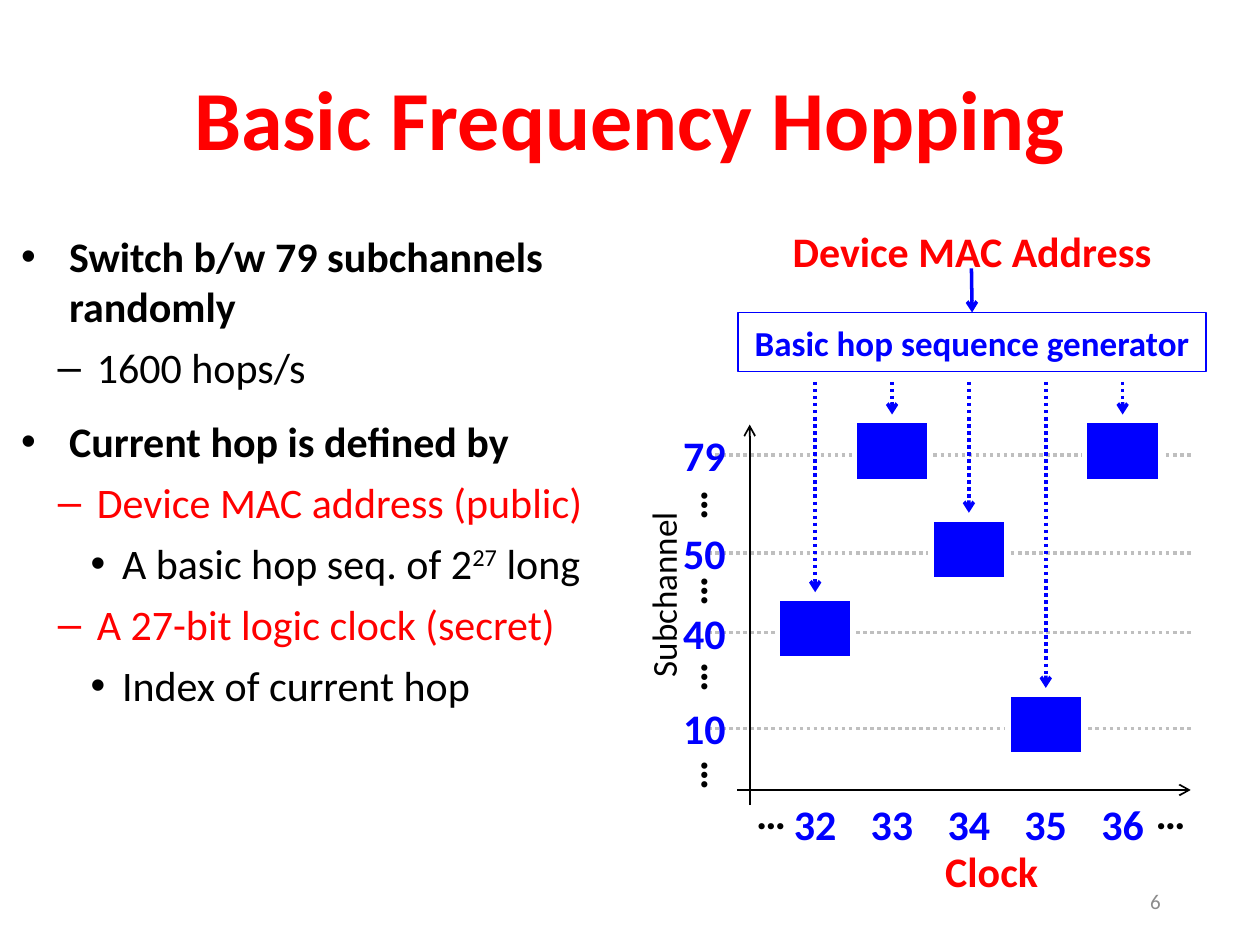
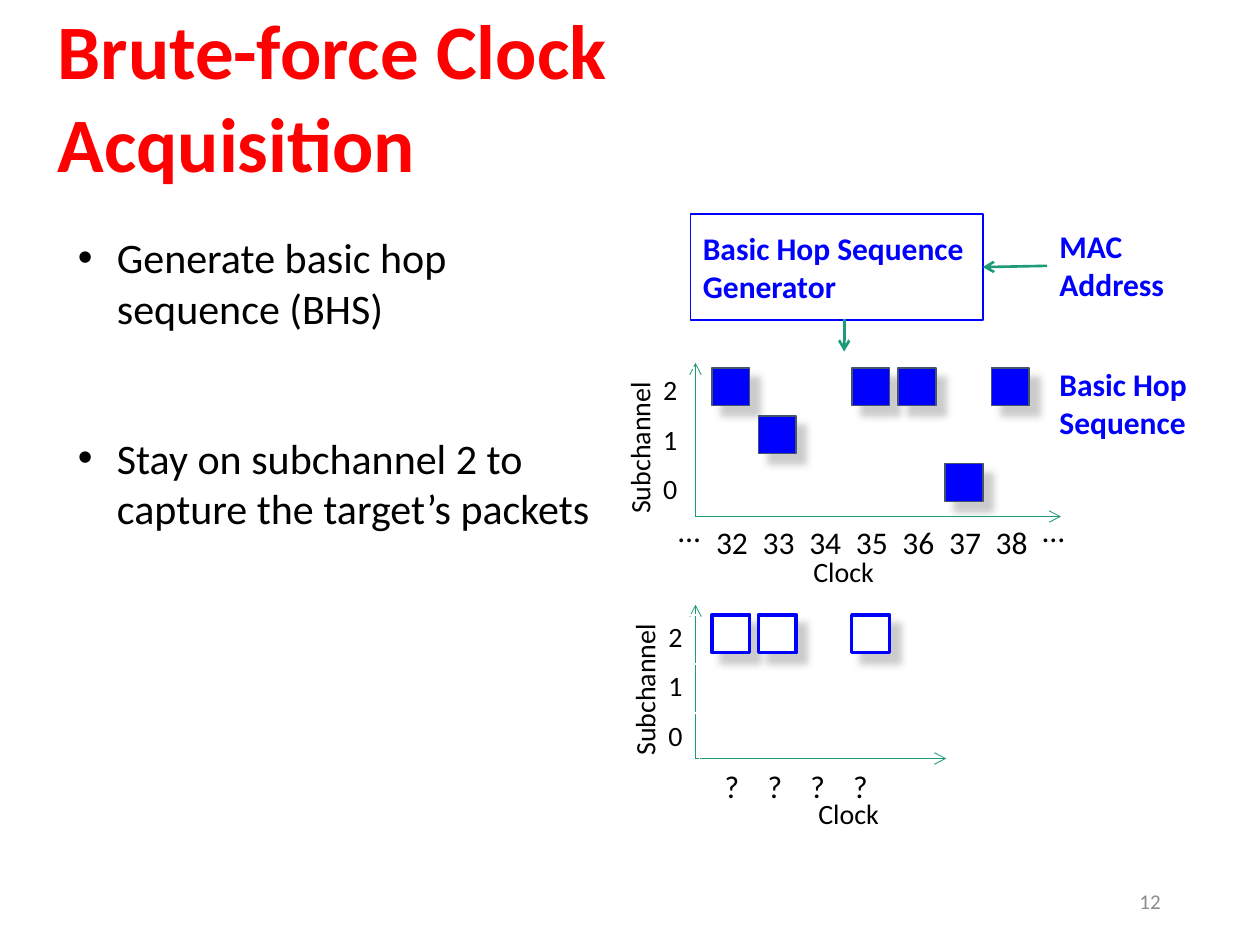
from lxml import etree
from pptx import Presentation
from pptx.dml.color import RGBColor
from pptx.enum.dml import MSO_LINE
from pptx.enum.shapes import MSO_CONNECTOR, MSO_SHAPE
from pptx.enum.text import MSO_ANCHOR, PP_ALIGN
from pptx.oxml.ns import qn
from pptx.util import Inches, Pt

LEFT, CENTER, RIGHT = PP_ALIGN.LEFT, PP_ALIGN.CENTER, PP_ALIGN.RIGHT
TOP, MIDDLE = MSO_ANCHOR.TOP, MSO_ANCHOR.MIDDLE
STRAIGHT, RECT, DOTTED = MSO_CONNECTOR.STRAIGHT, MSO_SHAPE.RECTANGLE, MSO_LINE.ROUND_DOT
FONT = "Calibri"
COLORS = {
    "red": "FF0000", "blue": "0000FF", "black": "000000", "white": "FFFFFF",
    "green": "1D9A78", "slate": "44546A", "grid": "BFBFBF", "number": "8C8C8C",
    "shadow": "808080",
}
BULLETS = [("•", 0.38, -0.38), ("–", 0.6, -0.31), ("•", 0.8, -0.25)]
PLAIN_BULLETS = [("•", 0.31, -0.31)]


def rgb(name):
    return RGBColor.from_string(COLORS[name])


def add_run(p, text, size, color="black", bold=False, raised=False):
    r = p.add_run()
    r.text = text
    r.font.name = FONT
    r.font.size = Pt(size)
    r.font.bold = bold
    r.font.color.rgb = rgb(color)
    if raised:
        r.font._element.set("baseline", "30000")


def add_text(s, box, text, size, color="black", bold=False, align=CENTER,
             anchor=TOP, margin=0, rotation=0, spacing=None):
    sp = s.shapes.add_textbox(*map(Inches, box))
    sp.rotation = rotation
    tf = sp.text_frame
    tf.word_wrap = True
    tf.vertical_anchor = anchor
    tf.margin_left = tf.margin_right = Inches(margin)
    p = tf.paragraphs[0]
    p.alignment = align
    p.line_spacing = spacing
    add_run(p, text, size, color, bold)


def add_title(s, box, text, size, align, spacing=None):
    add_text(s, box, text, size, "red", True, align, MIDDLE, 0.1, spacing=spacing)


def add_slide_number(s, number):
    add_text(s, (7.06, 6.95, 2.25, 0.4), str(number), 12, "number",
             align=RIGHT, anchor=MIDDLE, margin=0.1)


def add_bullets(s, box, items, bullets, after=0):
    tf = s.shapes.add_textbox(*map(Inches, box)).text_frame
    tf.word_wrap = True
    for i, (level, runs) in enumerate(items):
        p = tf.paragraphs[0] if i == 0 else tf.add_paragraph()
        char, margin, indent = bullets[level]
        pPr = p._p.get_or_add_pPr()
        pPr.set("marL", str(Inches(margin)))
        pPr.set("indent", str(Inches(indent)))
        etree.SubElement(pPr, qn("a:buFont"), typeface="Arial")
        etree.SubElement(pPr, qn("a:buChar"), char=char)
        p.level = level
        p.space_after = Pt(after)
        for text, style in runs:
            add_run(p, text, 24, **style)


def add_line(s, start, end, color, width, dash=None, arrow=True, join=None):
    cx = s.shapes.add_connector(STRAIGHT, *map(Inches, start + end))
    cx.line.color.rgb = rgb(color)
    cx.line.width = Pt(width)
    if dash:
        cx.line.dash_style = dash
    if arrow:
        etree.SubElement(cx.line._get_or_add_ln(), qn("a:tailEnd"), type="arrow")
    etree.SubElement(cx._element.spPr, qn("a:effectLst"))
    if join:
        cx.end_connect(*join)


def add_rect(s, box, fill, line, width):
    sp = s.shapes.add_shape(RECT, *map(Inches, box))
    sp.shadow.inherit = False
    if fill:
        sp.fill.solid()
        sp.fill.fore_color.rgb = rgb(fill)
    else:
        sp.fill.background()
    sp.line.color.rgb = rgb(line)
    sp.line.width = Pt(width)
    return sp


def add_generator(s, box, text, size, align):
    sp = add_rect(s, box, None, "blue", 1)
    tf = sp.text_frame
    tf.word_wrap = True
    tf.vertical_anchor = MIDDLE
    p = tf.paragraphs[0]
    p.alignment = align
    add_run(p, text, size, "blue", True)
    return sp


def add_shadow(sp):
    effects = sp._element.spPr.find(qn("a:effectLst"))
    outer = etree.SubElement(effects, qn("a:outerShdw"), blurRad=str(Pt(4)),
                             dist=str(Pt(8)), dir="2700000", algn="ctr", rotWithShape="0")
    color = etree.SubElement(outer, qn("a:srgbClr"), val=COLORS["shadow"])
    etree.SubElement(color, qn("a:alpha"), val="40000")


def add_channel_table(s, left, top):
    height = 0.39
    frame = s.shapes.add_table(3, 1, *map(Inches, (left, top, 0.38, 3 * height)))
    table = frame.table
    table.first_row = table.horz_banding = False
    table.columns[0].width = Inches(0.38)
    for row, channel in enumerate("210"):
        table.rows[row].height = Inches(height)
        cell = table.cell(row, 0)
        cell.fill.background()
        p = cell.text_frame.paragraphs[0]
        p.alignment = CENTER
        add_run(p, channel, 16)


def add_hop_chart(s, top, right, square_top, shift, hops, square_style):
    axis, bottom = 5.52, top + 1.22
    for clock, channel in hops:
        y = square_top + 0.38 * (2 - channel)
        add_shadow(add_rect(s, (5.65 + 0.37 * clock, y, 0.3, 0.3), *square_style))
    add_line(s, (axis, bottom), (axis, top), "green", 0.5)
    add_line(s, (axis, bottom), (right, bottom), "green", 0.5)
    add_channel_table(s, 5.13 + shift, square_top)
    add_text(s, (4.43 + shift, top + 0.49, 1.29, 0.37), "Subchannel", 16, rotation=270)
    add_text(s, (5.72 + shift, top + 1.47, 1.95, 0.37), "Clock", 16)


def add_clock_labels(s, labels, top, pitch):
    for i, label in enumerate(labels):
        add_text(s, (5.63 + pitch * i, top, 0.36, 0.4), label, 18)


def build_frequency_hopping(s):
    add_title(s, (0.5, 0.39, 9, 1.17), "Basic Frequency Hopping", 48, CENTER, 0.9)
    channels = {79: 3.61, 50: 4.39, 40: 5.02, 10: 5.78}
    hops = {32: 40, 33: 79, 34: 50, 35: 10, 36: 79}

    for channel, y in channels.items():
        add_line(s, (5.62, y), (9.47, y), "grid", 2, DOTTED, arrow=False)
        add_text(s, (5.32, y - 0.25, 0.54, 0.5), str(channel), 24, "blue", True)
    for top in (3.76, 4.44, 5.13, 5.9):
        add_text(s, (5.49, top, 0.42, 0.5), "…", 24, bold=True, rotation=90)

    for i, (clock, channel) in enumerate(hops.items()):
        left, top = 6.17 + 0.61 * i, channels[channel] - 0.27
        add_line(s, (left + 0.3, 3.03), (left + 0.3, top - 0.05), "blue", 2, DOTTED)
        add_rect(s, (left, top, 0.6, 0.48), "blue", "white", 3)
        add_text(s, (left, 6.29, 0.6, 0.5), str(clock), 24, "blue", True)
    for left in (5.77, 8.94):
        add_text(s, (left, 6.2, 0.7, 0.5), "…", 24, bold=True)

    add_line(s, (5.85, 6.27), (9.45, 6.27), "black", 1)
    add_line(s, (5.95, 6.39), (5.95, 3.37), "black", 1)
    add_text(s, (3.86, 4.5, 2.81, 0.44), "Subchannel", 20, rotation=270)
    add_text(s, (6.06, 6.66, 3.62, 0.5), "Clock", 24, "red", True)

    generator = add_generator(s, (5.86, 2.48, 3.71, 0.47),
                              "Basic hop sequence generator", 20, CENTER)
    add_text(s, (5.85, 1.74, 3.73, 0.5), "Device MAC Address", 24, "red", True)
    add_line(s, (7.71, 2.13), (7.71, 2.48), "blue", 2, join=(generator, 0))

    bold, red = {"bold": True}, {"color": "red"}
    add_bullets(s, (0.07, 1.78, 5.0, 1.4), [
        (0, [("Switch b/w 79 subchannels randomly", bold)]),
        (1, [("1600 hops/s", {})]),
    ], BULLETS, 6)
    add_bullets(s, (0.07, 3.25, 5.01, 2.96), [
        (0, [("Current hop is defined by", bold)]),
        (1, [("Device MAC address (public)", red)]),
        (2, [("A basic hop seq. of 2", {}), ("27", {"raised": True}), (" long", {})]),
        (1, [("A 27-bit logic clock (secret)", red)]),
        (2, [("Index of current hop", {})]),
    ], BULLETS, 6)
    add_slide_number(s, 6)


def build_clock_acquisition(s):
    add_title(s, (0.36, 0.23, 7.48, 1.05), "Brute-force Clock Acquisition", 44, LEFT)
    for top, text in ((1.79, "Generate basic hop sequence (BHS)"),
                      (3.38, "Stay on subchannel 2 to capture the target’s packets")):
        add_bullets(s, (0.52, top, 4.4, 0.73), [(0, [(text, {})])], PLAIN_BULLETS)

    generator = add_generator(s, (5.48, 1.7, 2.32, 0.84),
                              "Basic Hop Sequence Generator", 18, LEFT)
    for top, text in ((1.75, "MAC Address"), (2.85, "Basic Hop Sequence")):
        add_text(s, (8.31, top, 1.21, 0.71), text, 18, "blue", True, LEFT, margin=0.1)
    add_line(s, (8.31, 2.11), (7.8, 2.11), "green", 1.5, join=(generator, 3))
    add_line(s, (6.7, 2.53), (6.7, 2.79), "green", 1.5)

    add_hop_chart(s, 2.88, 8.42, 2.92, 0,
                  [(0, 2), (1, 1), (3, 2), (4, 2), (5, 0), (6, 2)], ("blue", "slate", 1))
    add_clock_labels(s, range_labels(32, 38), 4.1, 0.37)
    for left in (5.28, 8.17):
        add_text(s, (left, 4.01, 0.38, 0.4), "…", 18)

    add_hop_chart(s, 4.8, 7.51, 4.88, 0.04,
                  [(0, 2), (1, 2), (3, 2)], ("white", "blue", 2))
    add_clock_labels(s, "????", 6.04, 0.34)
    add_slide_number(s, 12)


def range_labels(first, last):
    return [str(clock) for clock in range(first, last + 1)]


def main():
    prs = Presentation()
    prs.slide_width, prs.slide_height = Inches(10), Inches(7.5)
    for build in (build_frequency_hopping, build_clock_acquisition):
        build(prs.slides.add_slide(prs.slide_layouts[6]))
    prs.save("out.pptx")


if __name__ == "__main__":
    main()
